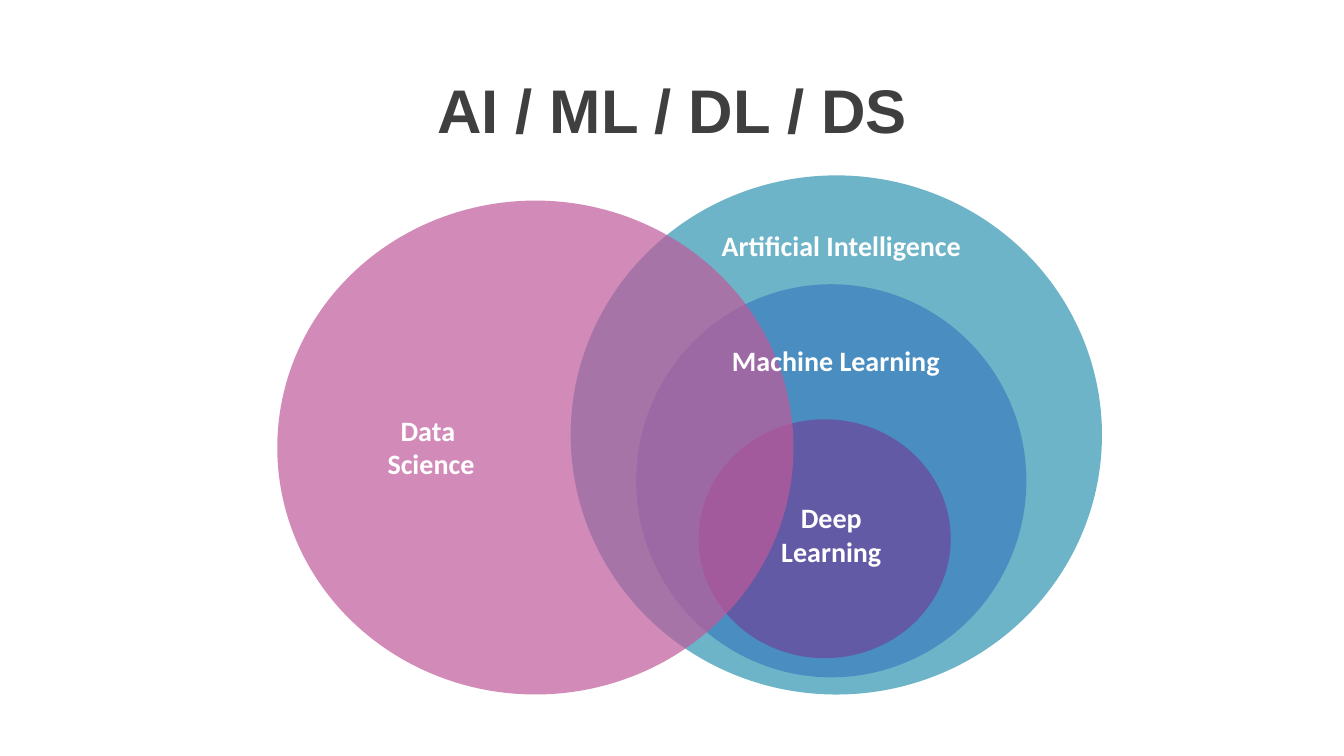
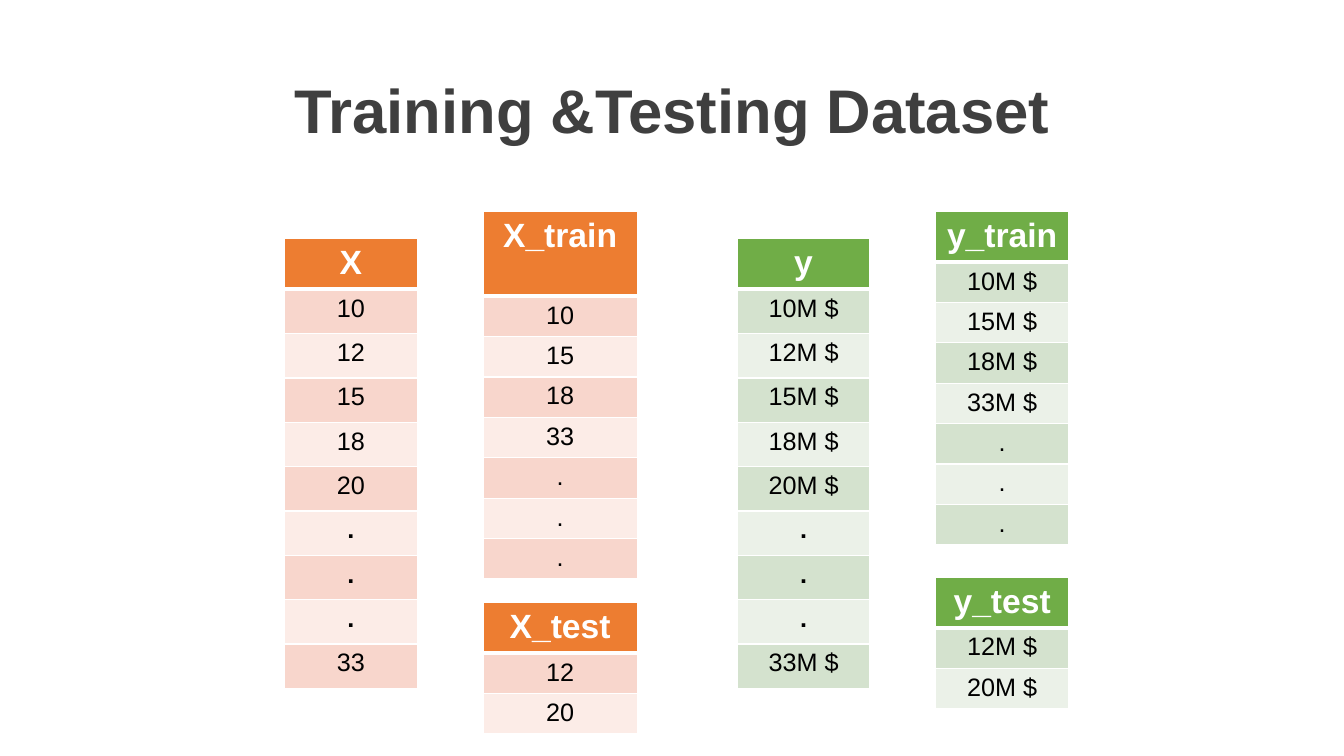
from lxml import etree
from pptx import Presentation
from pptx.dml.color import RGBColor
from pptx.enum.shapes import MSO_SHAPE
from pptx.enum.text import MSO_ANCHOR, PP_ALIGN
from pptx.oxml.ns import qn
from pptx.util import Emu, Pt

ELLIPSE = MSO_SHAPE.OVAL
CENTER = PP_ALIGN.CENTER
TOP, MIDDLE = MSO_ANCHOR.TOP, MSO_ANCHOR.MIDDLE

# Shared look
WHITE, BLACK, TITLE_GREY = "FFFFFF", "000000", "3F3F3F"
ORANGE = ("ED7D31", "F8D6CC", "FCECE7")  # header, odd row, even row
GREEN = ("70AD47", "D4E2CE", "EBF1E8")
HEADING_FONT, LABEL_FONT = "Arial", "Calibri"
THIN, THICK = 0.96, 3

# Table grid
HEADER_H, ROW_H, FULL_ROW_H = 50, 40, 44
FULL_LEFT, SPLIT_LEFT, PAIR_STEP = 282, 479, 449
FULL_TOP, SPLIT_TOP = 237, 210


def px(n):
    """100 px make one inch."""
    return Emu(n * 9144)


def rgb(color):
    return RGBColor.from_string(color)


def box(*lengths):
    return [px(n) for n in lengths]


def add_text(p, text, size, font, color, bold=True):
    p.alignment = CENTER
    r = p.add_run()
    r.text = text
    r.font.size = Pt(size)
    r.font.name = font
    r.font.bold = bold
    r.font.color.rgb = rgb(color)


def add_textbox(s, at, lines, size, font, color, anchor=TOP, spacing=None):
    tf = s.shapes.add_textbox(*box(*at)).text_frame
    tf.word_wrap = True
    tf.vertical_anchor = anchor
    for i, line in enumerate(lines):
        p = tf.add_paragraph() if i else tf.paragraphs[0]
        p.line_spacing = spacing
        add_text(p, line, size, font, color)


def add_title(s, text):
    add_textbox(s, (92, 40, 1150, 145), [text], 44, HEADING_FONT,
                TITLE_GREY, MIDDLE, 0.9)


def add_circle(s, at, color, opacity):
    sp = s.shapes.add_shape(ELLIPSE, *box(*at))
    sp.shadow.inherit = False
    sp.line.fill.background()
    sp.fill.solid()
    sp.fill.fore_color.rgb = rgb(color)
    clr = sp.fill._xPr.find(".//" + qn("a:srgbClr"))
    etree.SubElement(clr, qn("a:alpha"), val=str(opacity * 1000))


def set_borders(cell, top, bottom):
    tc_pr = cell._tc.get_or_add_tcPr()
    for side, width in (("L", THIN), ("R", THIN), ("T", top), ("B", bottom)):
        ln = etree.SubElement(tc_pr, qn("a:ln" + side), w=str(Pt(width)))
        fill = etree.SubElement(ln, qn("a:solidFill"))
        etree.SubElement(fill, qn("a:srgbClr"), val=WHITE)


def add_column(s, left, top, width, header, values, colors,
               header_h=HEADER_H, row_h=ROW_H, bold_dots=False):
    """One-column table with a header and banded rows."""
    height = header_h + row_h * len(values)
    table = s.shapes.add_table(len(values) + 1, 1,
                               *box(left, top, width, height)).table
    table.horz_banding = False
    head, odd, even = colors
    for i, text in enumerate([header, *values]):
        table.rows[i].height = px(row_h if i else header_h)
        cell = table.cell(i, 0)
        set_borders(cell, THICK if i == 1 else THIN, THIN if i else THICK)
        cell.fill.solid()
        cell.fill.fore_color.rgb = rgb((odd if i % 2 else even) if i else head)
        p = cell.text_frame.paragraphs[0]
        if i:
            add_text(p, text, 18, HEADING_FONT, BLACK,
                     bold_dots and text == ".")
        else:
            add_text(p, text, 24, HEADING_FONT, WHITE)


def build_venn(s):
    # Nested fields, then the overlapping one
    for at, color, opacity in (
        ((566, 174, 527, 515), "55A8C0", 85),
        ((631, 282, 387, 390), "4488C0", 85),
        ((693, 416, 250, 237), "67519F", 85),
        ((275, 199, 512, 490), "C05A9A", 70),
    ):
        add_circle(s, at, color, opacity)
    # Labels
    for at, lines in (
        ((313, 405, 229, 110), ["Data ", "Science"]),
        ((588, 222, 493, 43), ["Artificial Intelligence"]),
        ((685, 336, 288, 77), ["Machine Learning"]),
        ((737, 492, 175, 77), ["Deep", "Learning"]),
    ):
        add_textbox(s, at, lines, 20, LABEL_FONT, WHITE)
    add_title(s, "AI / ML / DL / DS")


def build_split(s):
    dots = ["."] * 3
    full = ["10", "12", "15", "18", "20", *dots, "33"]
    train = ["10", "15", "18", "33", *dots]
    test = ["12", "20"]
    # Per variable: unit, colours, split width, train header, test top
    for i, (name, unit, colors, split_w, train_head_h, test_top) in enumerate((
        ("X", "", ORANGE, 153, 84, 598),
        ("y", "M $", GREEN, 132, HEADER_H, 573),
    )):
        def with_unit(values):
            return [v if v == "." else v + unit for v in values]

        shift = i * PAIR_STEP
        split_left = SPLIT_LEFT + shift
        add_column(s, FULL_LEFT + shift, FULL_TOP, 132, name, with_unit(full),
                   colors, row_h=FULL_ROW_H, bold_dots=True)
        add_column(s, split_left, SPLIT_TOP, split_w, name + "_train",
                   with_unit(train), colors, header_h=train_head_h)
        add_column(s, split_left, test_top, split_w, name + "_test",
                   with_unit(test), colors)
    add_title(s, "Training &Testing Dataset")


def main():
    prs = Presentation()
    prs.slide_width, prs.slide_height = box(1333, 750)
    blank = prs.slide_layouts[6]
    for build in (build_venn, build_split):
        build(prs.slides.add_slide(blank))
    prs.save("out.pptx")


if __name__ == "__main__":
    main()
